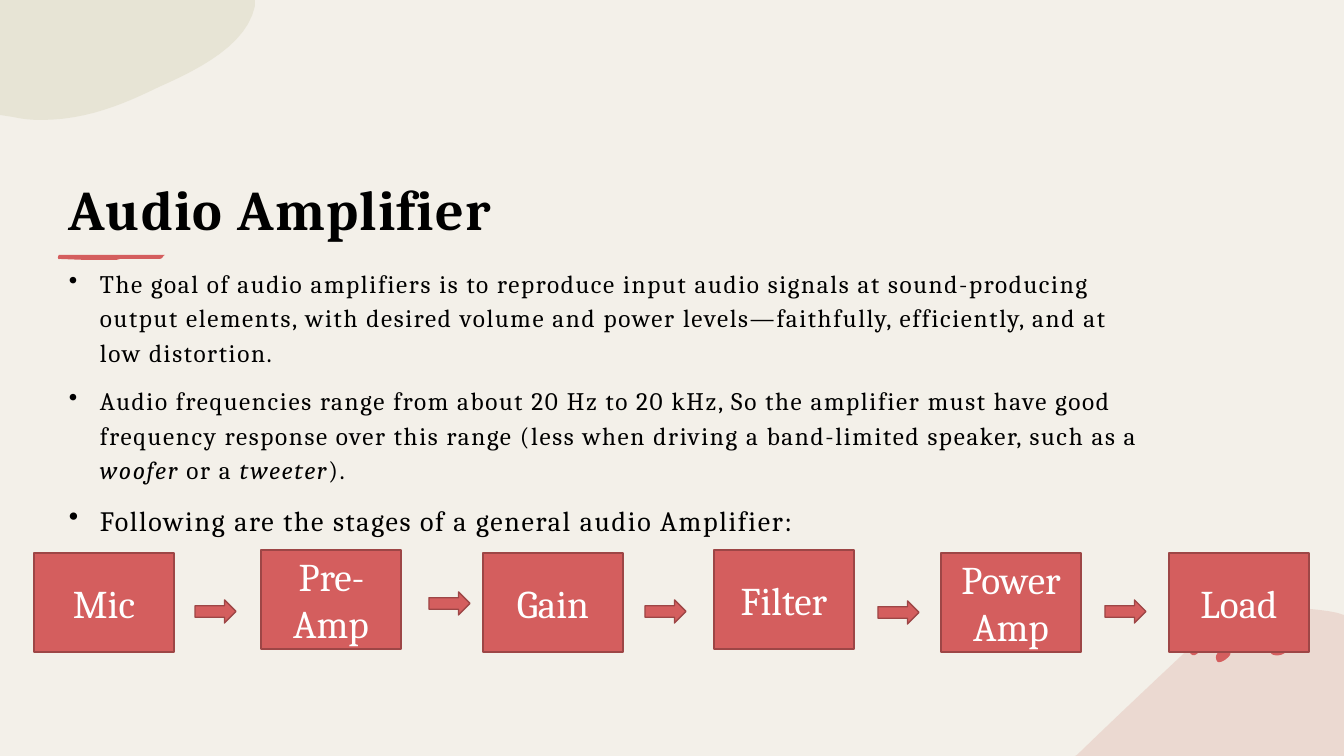
from lxml.etree import SubElement
from pptx import Presentation
from pptx.dml.color import RGBColor
from pptx.enum.shapes import MSO_SHAPE as Kind
from pptx.enum.text import MSO_ANCHOR as Anchor, PP_ALIGN as Align
from pptx.oxml.ns import qn
from pptx.util import Pt

FONT = "Cambria"
COLORS = {
    "page": "F3F0E9", "sand": "DCD9C3", "rose": "E5C4BA", "red": "D45E5E",
    "edge": "9D4646", "text": "000000", "white": "FFFFFF",
}
TITLE = "Audio Amplifier"
# Each bullet: size, then runs of (text, italic)
BULLETS = [
    (18, [("The goal of audio amplifiers is to reproduce input audio signals at "
           "sound-producing output elements, with desired volume and power "
           "levels—faithfully, efficiently, and at low distortion.", False)]),
    (18, [("Audio frequencies range from about 20 Hz to 20 kHz, So the amplifier "
           "must have good frequency response over this range (less when driving "
           "a band-limited speaker, such as a ", False),
          ("woofer ", True), ("or a ", False), ("tweeter", True), (").", False)]),
    (20, [("Following are the stages of a general audio Amplifier:", False)]),
]
# Label, left, top
STAGES = [
    ("Mic", 34, 553), ("Pre-Amp", 261, 550), ("Gain", 483, 553),
    ("Filter", 714, 550), ("Power Amp", 941, 553), ("Load", 1169, 553),
]
ARROWS = [(195, 600), (429, 592), (645, 600), (878, 601), (1105, 600)]
# Color, opacity, start, then steps: 2 numbers make a line, 6 a cubic curve
BLOBS = [
    ("rose", 50, (1298, 608), [
        (1311, 609, 1325, 610, 1338, 613), (1344, 615), (1344, 756),
        (1075, 756), (1077, 755), (1111, 722, 1146, 689, 1178, 659),
        (1200, 637, 1223, 624, 1247, 616), (1264, 610, 1281, 608, 1298, 608)]),
    ("red", 100, (1223, 649), [
        (1225, 649, 1226, 649, 1228, 650), (1230, 651, 1231, 653, 1230, 655),
        (1228, 658, 1222, 663, 1218, 662), (1217, 661, 1216, 660, 1216, 657),
        (1216, 655, 1218, 652, 1220, 651), (1221, 650, 1222, 649, 1223, 649)]),
    ("red", 100, (1201, 634), [
        (1203, 634, 1205, 635, 1205, 638), (1204, 643, 1202, 648, 1199, 652),
        (1197, 654, 1194, 657, 1191, 654), (1188, 651, 1187, 646, 1188, 643),
        (1189, 640, 1191, 639, 1193, 637), (1194, 637, 1198, 634, 1201, 634)]),
    ("red", 100, (1279, 645), [
        (1281, 645, 1284, 647, 1285, 649), (1286, 651, 1286, 653, 1283, 654),
        (1280, 656, 1272, 656, 1271, 653), (1270, 651, 1271, 649, 1272, 648),
        (1274, 647, 1276, 645, 1279, 645)]),
    ("sand", 50, (0, 0), [
        (255, 0), (255, 6), (247, 44, 202, 68, 159, 87),
        (124, 104, 87, 120, 41, 120), (31, 120, 22, 119, 13, 117), (0, 115)]),
    ("red", 100, (59, 255), [
        (165, 255), (162, 256, 164, 259, 158, 259), (120, 259), (116, 260),
        (87, 260), (60, 259), (57, 260, 58, 256, 59, 255)]),
]


def px(n):
    return round(n * 914400 / 100.8)


def rgb(name):
    return RGBColor.from_string(COLORS[name])


def paint(shape, fill, line=None):
    shape.shadow.inherit = False
    shape.fill.solid()
    shape.fill.fore_color.rgb = rgb(fill)
    if line:
        shape.line.color.rgb = rgb(line)
        shape.line.width = Pt(1)
    else:
        shape.line.fill.background()


def trace(start, steps, cuts=12):
    """Turn lines and cubic curves into a list of points."""
    x, y = start
    out = []
    for step in steps:
        if len(step) == 6:
            a, b, c, d, e, f = step
            for i in range(1, cuts):
                t = i / cuts
                u = 1 - t
                k = (u**3, 3 * u * u * t, 3 * u * t * t, t**3)
                out.append((sum(m * v for m, v in zip(k, (x, a, c, e))),
                            sum(m * v for m, v in zip(k, (y, b, d, f)))))
        x, y = step[-2:]
        out.append((x, y))
    return [(px(p), px(q)) for p, q in out]


def add_blob(color, alpha, start, steps):
    pen = shapes.build_freeform(*map(px, start), scale=1.0)
    pen.add_line_segments(trace(start, steps), close=True)
    blob = pen.convert_to_shape()
    paint(blob, color)
    if alpha < 100:
        tint = blob._element.spPr.find(".//" + qn("a:srgbClr"))
        SubElement(tint, qn("a:alpha"), val=str(alpha * 1000))


def add_text(x, y, w, h, anchor):
    frame = shapes.add_textbox(*map(px, (x, y, w, h))).text_frame
    frame.word_wrap = True
    frame.vertical_anchor = anchor
    frame.margin_left = frame.margin_right = frame.margin_top = px(12)
    frame.margin_bottom = px(10)
    return frame


def style(par, size, color="text"):
    par.font.name = FONT
    par.font.size = Pt(size)
    par.font.color.rgb = rgb(color)


def space(par, gap):
    """Set letter spacing, in hundredths of a point, and line spacing."""
    par.line_spacing = 1.14
    for run in par.runs:
        run.font._element.set("spc", str(gap))


def add_bullet(par, size, runs):
    for text, slant in runs:
        run = par.add_run()
        run.text = text
        if slant:
            run.font.italic = True
    style(par, size)
    space(par, 120)
    par.space_before = Pt(10)
    props = par._p.get_or_add_pPr()
    props.set("marL", str(px(31)))
    props.set("indent", str(-px(31)))
    mark = props.makeelement(qn("a:buChar"), {"char": "•"})
    props.find(qn("a:defRPr")).addprevious(mark)


deck = Presentation()
deck.slide_width, deck.slide_height = px(1344), px(756)
slide = deck.slides.add_slide(deck.slide_layouts[6])
slide.background.fill.solid()
slide.background.fill.fore_color.rgb = rgb("page")
shapes = slide.shapes

for blob in BLOBS:
    add_blob(*blob)

head = add_text(57, 106, 1111, 146, Anchor.BOTTOM).paragraphs[0]
head.text = TITLE
style(head, 40)
head.font.bold = True
space(head, 100)

body = add_text(57, 252, 1111, 417, Anchor.TOP)
for i, (size, runs) in enumerate(BULLETS):
    add_bullet(body.add_paragraph() if i else body.paragraphs[0], size, runs)

for label, x, y in STAGES:
    box = shapes.add_shape(Kind.RECTANGLE, *map(px, (x, y, 140, 99)))
    paint(box, "red", "edge")
    box.text_frame.vertical_anchor = Anchor.MIDDLE
    par = box.text_frame.paragraphs[0]
    par.text = label
    par.alignment = Align.CENTER
    style(par, 28, "white")

for x, y in ARROWS:
    arrow = shapes.add_shape(Kind.RIGHT_ARROW, *map(px, (x, y, 41, 23)))
    paint(arrow, "red", "edge")

deck.save("out.pptx")
